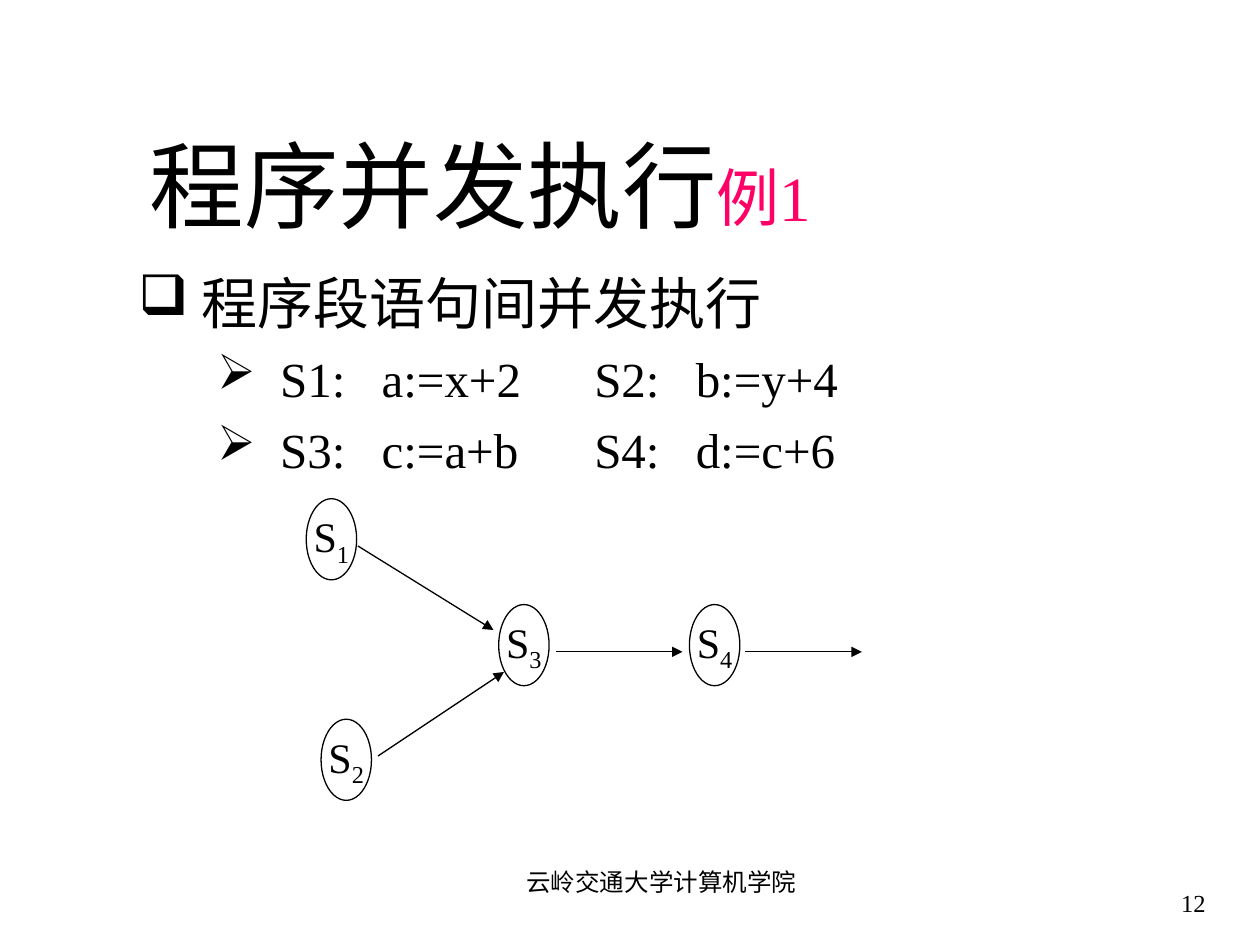
from lxml import etree
from pptx import Presentation
from pptx.dml.color import RGBColor
from pptx.enum import shapes, text
from pptx.oxml import ns
from pptx.util import Pt

BLACK = RGBColor(0x00, 0x00, 0x00)
PINK = RGBColor(0xFF, 0x00, 0x66)
FONT = "Times New Roman"


def style(font, size, color=BLACK):
    font.name = FONT
    font.size = Pt(size)
    font.color.rgb = color


def set_frame(frame, anchor, inset_x, inset_y, wrap=True):
    frame.word_wrap = wrap
    frame.vertical_anchor = anchor
    frame.margin_left = frame.margin_right = Pt(inset_x)
    frame.margin_top = frame.margin_bottom = Pt(inset_y)


def add_bullet(paragraph, char, indent, hanging, tab_stops):
    props = paragraph._p.get_or_add_pPr()
    props.set("marL", str(Pt(indent)))
    props.set("indent", str(-Pt(hanging)))
    bullet_color = etree.SubElement(props, ns.qn("a:buClr"))
    etree.SubElement(bullet_color, ns.qn("a:srgbClr"), val=str(BLACK))
    etree.SubElement(props, ns.qn("a:buChar"), char=char)
    if tab_stops:
        tabs = etree.SubElement(props, ns.qn("a:tabLst"))
        for stop in tab_stops:
            etree.SubElement(tabs, ns.qn("a:tab"), pos=str(Pt(stop)), algn="l")


def place_title(slide, left, top, width, height):
    title = slide.shapes.title
    title.left, title.top = Pt(left), Pt(top)
    title.width, title.height = Pt(width), Pt(height)
    frame = title.text_frame
    frame.auto_size = text.MSO_AUTO_SIZE.NONE
    set_frame(frame, text.MSO_ANCHOR.BOTTOM, 1.5, 0.75)
    heading = frame.paragraphs[0]
    heading.alignment = text.PP_ALIGN.LEFT
    for words, size, color in (("程序并发执行", 54, BLACK), ("例1", 36, PINK)):
        run = heading.add_run()
        run.text = words
        style(run.font, size, color)


def place_statements(slide, left, top, width, height):
    box = slide.shapes.add_textbox(Pt(left), Pt(top), Pt(width), Pt(height))
    frame = box.text_frame
    set_frame(frame, text.MSO_ANCHOR.TOP, 7.2, 3.6)
    columns = (139, 260.5, 318.5)
    items = (
        ("程序段语句间并发执行", 0, "❑", 36, 32, 8, ()),
        ("S1:\ta:=x+2\tS2:\tb:=y+4", 1, "➢", 81, 28, 7, columns),
        ("S3:\tc:=a+b\tS4:\td:=c+6", 1, "➢", 81, 28, 7, columns),
    )
    for index, (words, level, char, indent, size, gap, stops) in enumerate(items):
        item = frame.paragraphs[0] if index == 0 else frame.add_paragraph()
        item.text = words
        item.level = level
        item.space_before = Pt(gap)
        add_bullet(item, char, indent, 36, stops)
        style(item.font, size)


def add_node(slide, number, left, top):
    node = slide.shapes.add_shape(
        shapes.MSO_SHAPE.OVAL, Pt(left), Pt(top), Pt(28.8), Pt(46.4))
    node.shadow.inherit = False
    node.fill.background()
    node.line.color.rgb = BLACK
    node.line.width = Pt(0.75)
    frame = node.text_frame
    set_frame(frame, text.MSO_ANCHOR.MIDDLE, 0, 0, wrap=False)
    frame.auto_size = text.MSO_AUTO_SIZE.SHAPE_TO_FIT_TEXT
    label = frame.paragraphs[0]
    label.alignment = text.PP_ALIGN.CENTER
    label.space_before = Pt(15)
    style(label.font, 24)
    label.add_run().text = "S"
    subscript = label.add_run()
    subscript.text = number
    subscript._r.get_or_add_rPr().set("baseline", "-25000")


def add_arrow(slide, start_x, start_y, end_x, end_y):
    arrow = slide.shapes.add_connector(
        shapes.MSO_CONNECTOR.STRAIGHT,
        Pt(start_x), Pt(start_y), Pt(end_x), Pt(end_y))
    arrow.line.color.rgb = BLACK
    arrow.line.width = Pt(0.75)
    etree.SubElement(arrow.line._get_or_add_ln(), ns.qn("a:tailEnd"), type="triangle")
    etree.SubElement(arrow._element.spPr, ns.qn("a:effectLst"))


def place_graph(slide, left, top):
    nodes = (("1", 0, 0), ("3", 110, 60.5), ("4", 219, 60.5), ("2", 8.5, 126))
    for number, x, y in nodes:
        add_node(slide, number, left + x, top + y)
    arrows = (
        (29.5, 27, 107, 75),
        (41, 147, 113, 99),
        (143, 87.5, 215, 87.5),
        (251, 87.5, 317.5, 87.5),
    )
    for x1, y1, x2, y2 in arrows:
        add_arrow(slide, left + x1, top + y1, left + x2, top + y2)


def place_footer(slide, words, align, anchor, gap, left, top, width, height):
    box = slide.shapes.add_textbox(Pt(left), Pt(top), Pt(width), Pt(height))
    set_frame(box.text_frame, anchor, 7.2, 3.6)
    line = box.text_frame.paragraphs[0]
    line.text = words
    line.alignment = align
    line.space_before = Pt(gap)
    style(line.font, 14)


def main():
    deck = Presentation()
    deck.slide_width, deck.slide_height = Pt(720), Pt(540)
    slide = deck.slides.add_slide(deck.slide_layouts[5])
    place_footer(slide, "12", text.PP_ALIGN.RIGHT, text.MSO_ANCHOR.BOTTOM, 0,
                 624, 492, 72, 36)
    place_footer(slide, "云岭交通大学计算机学院", text.PP_ALIGN.CENTER,
                 text.MSO_ANCHOR.TOP, 8.8, 264, 492, 228, 36)
    place_title(slide, 84, 90, 444, 48)
    place_statements(slide, 72, 150, 588, 132)
    place_graph(slide, 175, 285)
    deck.save("out.pptx")


if __name__ == "__main__":
    main()
